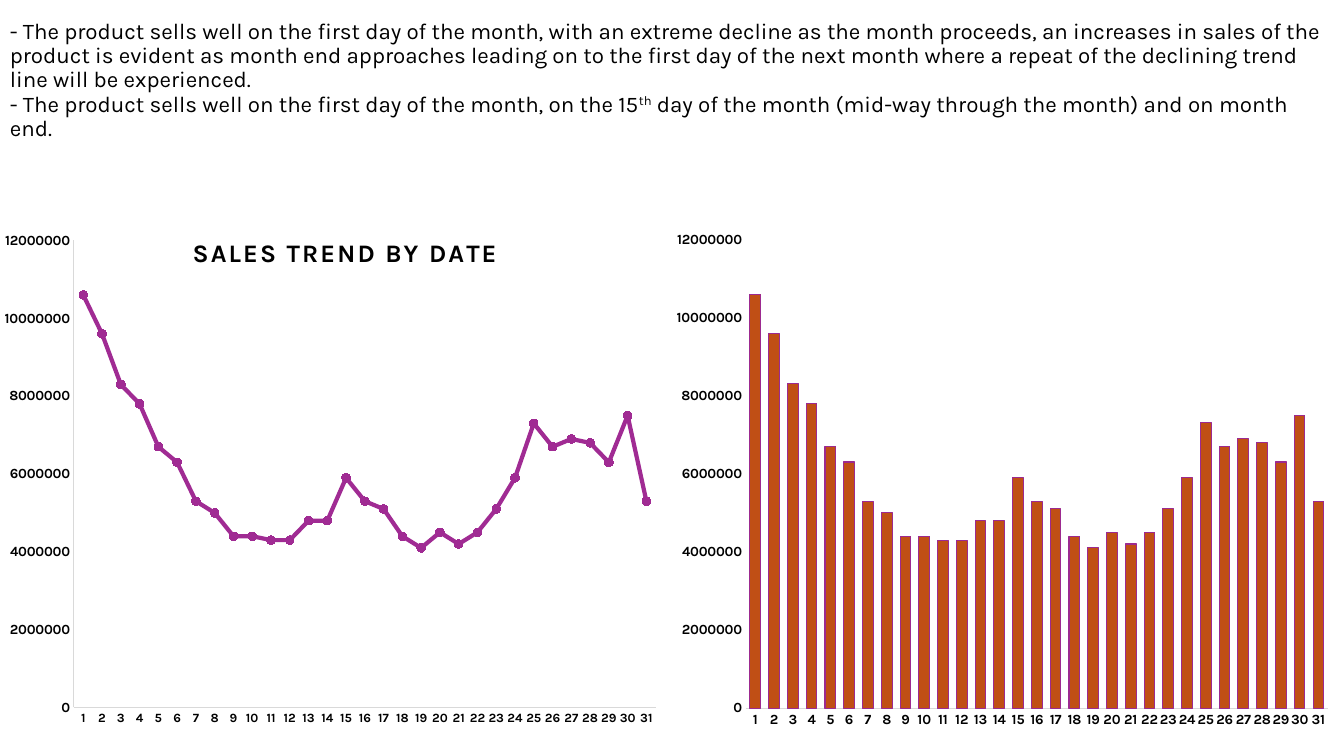
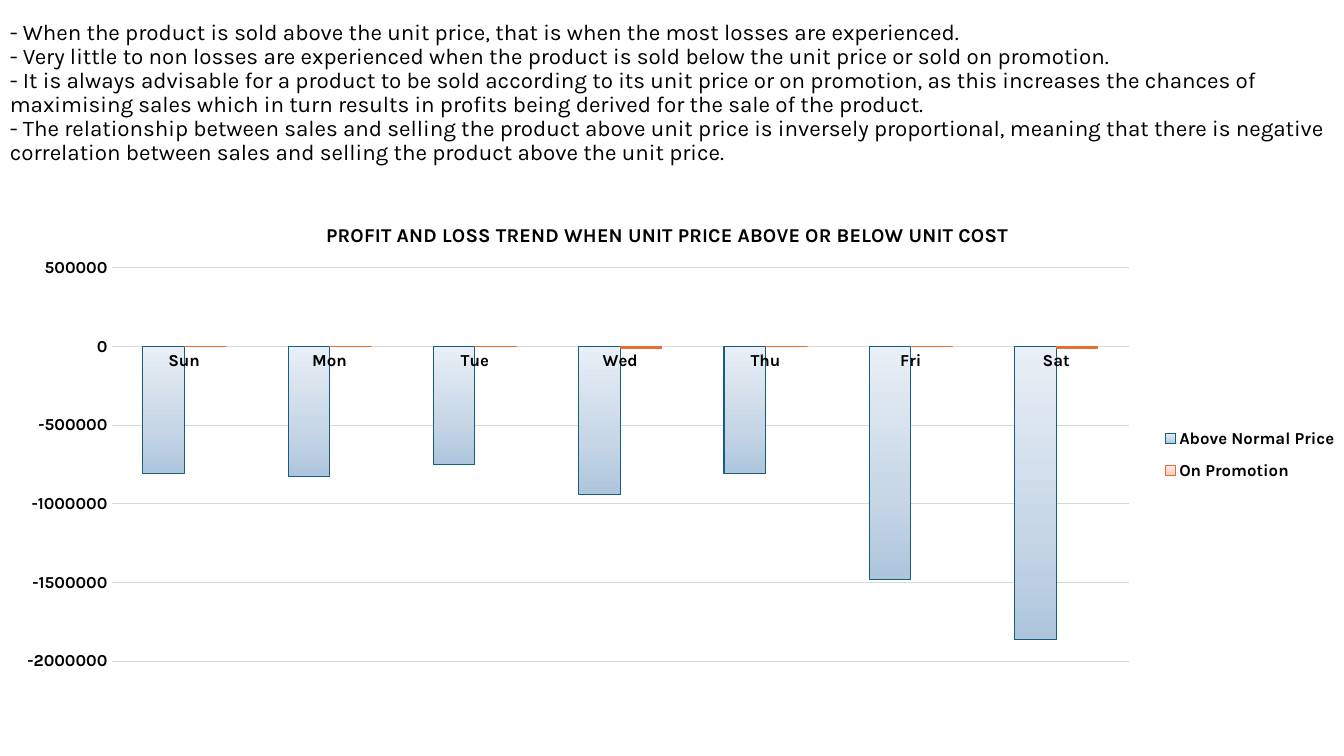
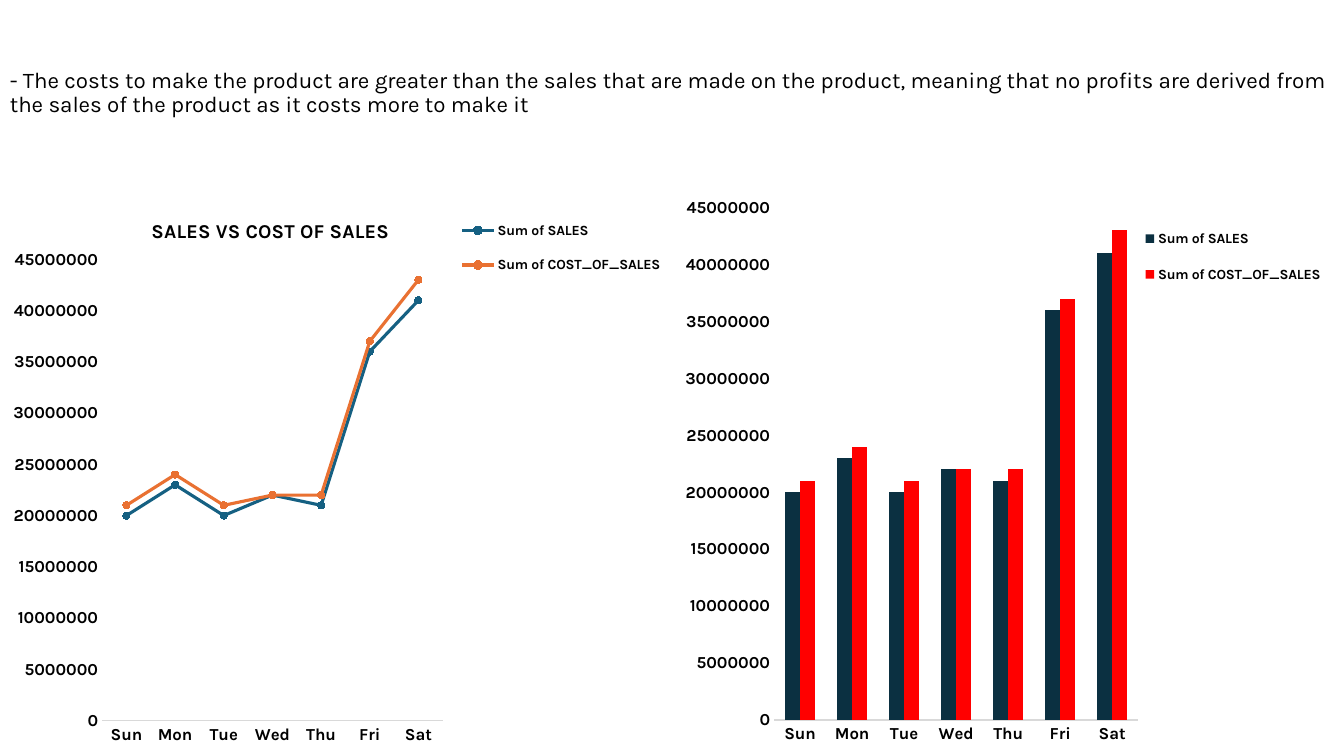
"""Build three sales analysis slides, each with remarks above charts."""
from copy import deepcopy

from lxml.etree import SubElement
from pptx import Presentation
from pptx.chart.data import CategoryChartData
from pptx.dml.color import RGBColor
from pptx.enum.chart import XL_CHART_TYPE, XL_LEGEND_POSITION, XL_MARKER_STYLE, XL_TICK_MARK
from pptx.enum.text import MSO_ANCHOR
from pptx.oxml.ns import qn
from pptx.util import Inches, Pt

W, H = 13.33, 7.5
HEAD = 1.85
HALF = W / 2
FONT = "Karla"
COLORS = {
    "text": "000000", "axis": "D9D9D9", "purple": "A02B93", "plum": "9C2A90",
    "rust": "C04F15", "orange": "E97132", "blue": "156082", "navy": "0B3041",
    "red": "FF0000", "steel": "155E7F", "coral": "E46F31",
}
BLUES = [(0, "ADC5DD"), (0.35, "C6D6E6"), (1, "E9EFF6")]
PINKS = [(0, "FFC2B4"), (0.35, "FFD4CA"), (1, "FFEEEB")]
LINE, COLUMN = XL_CHART_TYPE.LINE_MARKERS, XL_CHART_TYPE.COLUMN_CLUSTERED

DATES = [str(day) for day in range(1, 32)]
DAYS = ["Sun", "Mon", "Tue", "Wed", "Thu", "Fri", "Sat"]
DATE_SALES = [v * 100_000 for v in (
    106, 96, 83, 78, 67, 63, 53, 50, 44, 44, 43, 43, 48, 48, 59, 53,
    51, 44, 41, 45, 42, 45, 51, 59, 73, 67, 69, 68, 63, 75, 53)]
ABOVE = [v * 10_000 for v in (-81, -83, -75, -94, -81, -148, -186)]
PROMO = [v * 10_000 for v in (0, 0, 0, -1, 0, 0, -1)]
SALES = [v * 1_000_000 for v in (20, 23, 20, 22, 21, 36, 41)]
COST = [v * 1_000_000 for v in (21, 24, 21, 22, 22, 37, 43)]

SLIDES = [
    {
        "text_h": 1.6,
        "remarks": [
            ["- The product sells well on the first day of the month, with an extreme decline as the month "
             "proceeds, an increases in sales of the product is evident as month end approaches leading on to "
             "the first day of the next month where a repeat of the declining trend line will be experienced."],
            ["- The product sells well on the first day of the month, on the 15", "th",
             " day of the month (mid-way through the month) and on month end."],
        ],
        "charts": [
            {"kind": LINE, "box": (0, HEAD, HALF, H - HEAD), "cats": DATES, "scale": (0, 12e6, 2e6),
             "plot": (0.11, 0.095, 0.866, 0.82), "cat_size": 9, "size": 10, "value_line": True,
             "title": ("SALES TREND BY DATE", 18, 150, (0.28, 0.08)),
             "series": [{"name": "Series 1", "vals": DATE_SALES, "line": ("purple", 3), "marker": ("orange", 6)}]},
            {"kind": COLUMN, "box": (HALF, HEAD, HALF, H - HEAD), "cats": DATES, "scale": (0, 12e6, 2e6),
             "plot": (0.11, 0.093, 0.866, 0.823), "size": 10, "gap": 75, "overlap": -25,
             "series": [{"name": "Series 1", "vals": DATE_SALES, "fill": "rust", "line": ("plum", 0.75)}]},
        ],
    },
    {
        "remarks": [
            ["- When the product is sold above the unit price, that is when the most losses are experienced."],
            ["- Very little to non losses are experienced when the product is sold below the unit price or sold "
             "on promotion."],
            ["- It is always advisable for a product to be sold according to its unit price or on promotion, as "
             "this increases the chances of maximising sales which in turn results in profits being derived for "
             "the sale of the product."],
            ["- The relationship between sales and selling the product above unit price is inversely "
             "proportional, meaning that there is negative correlation between sales and selling the product "
             "above the unit price."],
        ],
        "charts": [
            {"kind": COLUMN, "box": (0, 2, W, 4.76), "cats": DAYS, "scale": (-2e6, 5e5, 5e5),
             "plot": (0.083, 0.138, 0.757, 0.82), "size": 12, "gap": 150, "grid": True,
             "title": ("PROFIT AND LOSS TREND WHEN UNIT PRICE ABOVE OR BELOW UNIT COST", 14, 0, (0.24, 0.035)),
             "legend": (12, (0.865, 0.447, 0.13, 0.16)),
             "series": [{"name": "Above Normal Price", "vals": ABOVE, "fill": BLUES, "line": ("steel", 0.75)},
                        {"name": "On Promotion", "vals": PROMO, "fill": PINKS, "line": ("coral", 0.75)}]},
        ],
    },
    {
        "remarks": [
            ["- The costs to make the product are greater than the sales that are made on the product, meaning "
             "that no profits are derived from the sales of the product as it costs more to make it"],
        ],
        "charts": [
            {"kind": LINE, "box": (0, HEAD, HALF, H - HEAD), "cats": DAYS, "scale": (0, 45e6, 5e6),
             "plot": (0.152, 0.128, 0.507, 0.81), "size": 12,
             "title": ("SALES VS COST OF SALES", 14, 0, (0.22, 0.05)),
             "legend": (10, (0.68, 0.03, 0.31, 0.155)),
             "series": [{"name": "Sum of SALES", "vals": SALES, "line": ("blue", 2.25), "marker": ("navy", 5)},
                        {"name": "Sum of COST_OF_SALES", "vals": COST, "line": ("orange", 2.25),
                         "marker": ("red", 5)}]},
            {"kind": COLUMN, "box": (HALF, HEAD, HALF, H - HEAD), "cats": DAYS, "scale": (0, 45e6, 5e6),
             "plot": (0.152, 0.037, 0.542, 0.9), "size": 12, "gap": 150,
             "legend": (10, (0.69, 0.043, 0.29, 0.16)),
             "series": [{"name": "Sum of SALES", "vals": SALES, "fill": "navy"},
                        {"name": "Sum of COST_OF_SALES", "vals": COST, "fill": "red"}]},
        ],
    },
]


def rgb(name):
    return RGBColor.from_string(COLORS.get(name, name))


def style_font(font, size, bold=False):
    font.name, font.size, font.bold = FONT, Pt(size), bold
    font.color.rgb = rgb("text")


def style_line(line, color, width):
    line.color.rgb = rgb(color)
    line.width = Pt(width)


def place(el, index, box, inner=False):
    for old in el.findall(qn("c:layout")):
        el.remove(old)
    layout = el.makeelement(qn("c:layout"), {})
    el.insert(index, layout)
    manual = SubElement(layout, qn("c:manualLayout"))
    if inner:
        SubElement(manual, qn("c:layoutTarget"), val="inner")
    for mode in ("xMode", "yMode"):
        SubElement(manual, qn("c:" + mode), val="edge")
    for key, share in zip("xywh", box):
        SubElement(manual, qn("c:" + key), val=str(share))


def fill_gradient(ser, stops):
    fill = ser.format.fill
    fill.gradient()
    fill.gradient_angle = 90
    last = ser._element.findall(".//" + qn("a:gs"))[-1]
    last.addprevious(deepcopy(last))
    for stop, (pos, color) in zip(fill.gradient_stops, stops):
        stop.position = pos
        stop.color.rgb = rgb(color)


def style_series(ser, spec, kind):
    if kind == LINE:
        ser.smooth = False
        color, size = spec["marker"]
        ser.marker.style = XL_MARKER_STYLE.CIRCLE
        ser.marker.size = size
        ser.marker.format.fill.solid()
        ser.marker.format.fill.fore_color.rgb = rgb(color)
        style_line(ser.marker.format.line, spec["line"][0], 0.75)
    else:
        ser.invert_if_negative = False
        if isinstance(spec["fill"], list):
            fill_gradient(ser, spec["fill"])
        else:
            ser.format.fill.solid()
            ser.format.fill.fore_color.rgb = rgb(spec["fill"])
    if "line" in spec:
        style_line(ser.format.line, *spec["line"])


def style_axes(chart, spec):
    cat, val = chart.category_axis, chart.value_axis
    for axis, size in ((cat, spec.get("cat_size", spec["size"])), (val, spec["size"])):
        axis.major_tick_mark = axis.minor_tick_mark = XL_TICK_MARK.NONE
        axis.has_major_gridlines = False
        style_font(axis.tick_labels.font, size, True)
        style_line(axis.format.line, "axis", 0.75)
    val.minimum_scale, val.maximum_scale, val.major_unit = spec["scale"]
    if not spec.get("value_line"):
        val.format.line.fill.background()
    if spec.get("grid"):
        val.has_major_gridlines = True
        style_line(val.major_gridlines.format.line, "axis", 0.75)


def add_title(chart, text, size, spacing, corner):
    tf = chart.chart_title.text_frame
    r = tf.paragraphs[0].add_run()
    r.text = text
    style_font(r.font, size, True)
    r.font._element.set("spc", str(spacing))
    place(chart.chart_title._element, 1, corner)


def add_legend(chart, size, box):
    chart.has_legend = True
    chart.legend.position = XL_LEGEND_POSITION.RIGHT
    chart.legend.include_in_layout = False
    style_font(chart.legend.font, size, True)
    place(chart.legend._element, 1, box)


def add_chart(s, spec):
    data = CategoryChartData()
    data.categories = spec["cats"]
    for item in spec["series"]:
        data.add_series(item["name"], item["vals"])
    chart = s.shapes.add_chart(spec["kind"], *map(Inches, spec["box"]), data).chart
    style_font(chart.font, 10)
    chart.has_legend = False
    chart.has_title = "title" in spec
    plot = chart.plots[0]
    plot.vary_by_categories = False
    if spec["kind"] == COLUMN:
        plot.gap_width, plot.overlap = spec["gap"], spec.get("overlap", 0)
    for ser, item in zip(plot.series, spec["series"]):
        style_series(ser, item, spec["kind"])
    style_axes(chart, spec)
    place(chart._chartSpace.find(".//" + qn("c:plotArea")), 0, spec["plot"], inner=True)
    if "title" in spec:
        add_title(chart, *spec["title"])
    if "legend" in spec:
        add_legend(chart, *spec["legend"])


def add_remarks(s, remarks, height):
    tf = s.shapes.add_textbox(0, 0, Inches(W), Inches(height)).text_frame
    tf.word_wrap = True
    tf.vertical_anchor = MSO_ANCHOR.MIDDLE
    for i, parts in enumerate(remarks):
        p = tf.add_paragraph() if i else tf.paragraphs[0]
        p.line_spacing = 0.9
        for part in parts:
            r = p.add_run()
            r.text = part
            style_font(r.font, 16)
            if part == "th":
                r.font._element.set("baseline", "30000")


def main():
    prs = Presentation()
    prs.slide_width, prs.slide_height = Inches(W), Inches(H)
    for spec in SLIDES:
        s = prs.slides.add_slide(prs.slide_layouts[6])
        add_remarks(s, spec["remarks"], spec.get("text_h", HEAD))
        for chart_spec in spec["charts"]:
            add_chart(s, chart_spec)
    prs.save("out.pptx")


if __name__ == "__main__":
    main()
